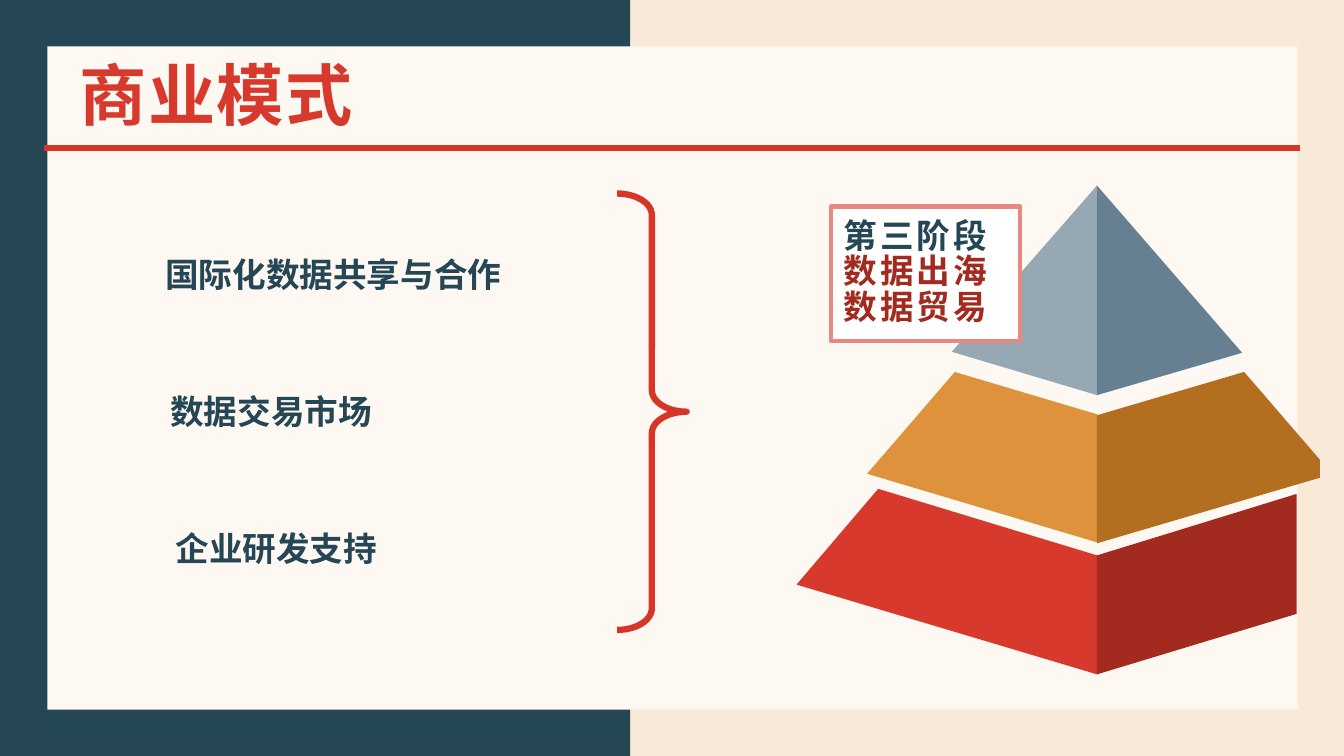
from dataclasses import dataclass

from lxml import etree
from pptx import Presentation
from pptx import util as u
from pptx.dml.color import RGBColor
from pptx.enum import shapes, text
from pptx.oxml import ns

NAVY = RGBColor(0x24, 0x46, 0x55)
SAND = RGBColor(0xF8, 0xE9, 0xD8)
CREAM = RGBColor(0xFE, 0xF8, 0xF2)
WHITE = RGBColor(0xFF, 0xFF, 0xFF)
RULE_RED = RGBColor(0xD6, 0x35, 0x27)
RED = RGBColor(0xD7, 0x3A, 0x2C)
DARK_RED = RGBColor(0xA3, 0x2A, 0x1F)
PINK = RGBColor(0xE7, 0x89, 0x80)
ORANGE = RGBColor(0xDD, 0x92, 0x3B)
BROWN = RGBColor(0xB3, 0x6E, 0x1F)
LIGHT_SLATE = RGBColor(0x95, 0xA8, 0xB4)
SLATE = RGBColor(0x66, 0x80, 0x91)

FONT = "Noto Sans CJK SC"
CELL = u.Inches(0.01)
COLUMNS, ROWS = 1333, 750
AXIS = 298
FACES = [
    (RED, [(81, 301), (0, 396), (AXIS, 485), (AXIS, 367)]),
    (ORANGE, [(157, 185), (70, 286), (AXIS, 354), (AXIS, 227)]),
    (SLATE, [(AXIS, 0), (AXIS, 208), (442, 166)]),
    (LIGHT_SLATE, [(154, 165), (AXIS, 208), (AXIS, 0)]),
    (DARK_RED, [(496, 306), (496, 425), (AXIS, 485), (AXIS, 367)]),
    (BROWN, [(444, 185), (519, 272), (519, 290), (AXIS, 355), (AXIS, 228)]),
]
STREAMS = ["国际化数据共享与合作", "数据交易市场", "企业研发支持"]
STAGE = [("第三阶段", NAVY), ("数据出海", DARK_RED), ("数据贸易", DARK_RED)]


@dataclass
class Box:
    left: int
    top: int
    width: int
    height: int

    def inner(self, column, row, columns, rows):
        return Box(self.left + column, self.top + row, columns, rows)

    def lengths(self):
        return [side * CELL for side in (self.left, self.top, self.width, self.height)]


def paint(shape, fill=None, line=None, weight=0):
    shape.shadow.inherit = False
    if fill is None:
        shape.fill.background()
    else:
        shape.fill.solid()
        shape.fill.fore_color.rgb = fill
    if line is None:
        shape.line.fill.background()
    else:
        shape.line.color.rgb = line
        shape.line.width = u.Pt(weight)


def add_panel(page, box, fill, line=None, weight=0):
    panel = page.shapes.add_shape(shapes.MSO_SHAPE.RECTANGLE, *box.lengths())
    paint(panel, fill, line, weight)
    return panel


def write(shape, lines, size, anchor, line_spacing=0.9, after=0, tracking=0):
    frame = shape.text_frame
    frame.word_wrap = True
    frame.auto_size = text.MSO_AUTO_SIZE.NONE
    frame.vertical_anchor = anchor
    frame.margin_left = frame.margin_right = u.Inches(0.13)
    frame.margin_top = frame.margin_bottom = u.Inches(0.07)
    frame.text = "\n".join(words for words, color in lines)
    for para, (words, color) in zip(frame.paragraphs, lines):
        para.alignment = text.PP_ALIGN.LEFT
        para.line_spacing = line_spacing
        para.space_after = u.Pt(after)
        span = para.runs[0]
        span.font.name = FONT
        span.font.size = u.Pt(size)
        span.font.bold = True
        span.font.color.rgb = color
        properties = span.font._element
        properties.set("spc", str(tracking * 100))
        etree.SubElement(properties, ns.qn("a:ea")).set("typeface", FONT)


def add_backdrop(page, box):
    page.background.fill.solid()
    page.background.fill.fore_color.rgb = SAND
    add_panel(page, box.inner(0, 0, 625, box.height), NAVY)
    add_panel(page, box.inner(47, 46, 1240, 658), CREAM)


def add_header(page, box):
    left, top, width, height = box.lengths()
    rule = page.shapes.add_connector(
        shapes.MSO_CONNECTOR.STRAIGHT, left, top + height, left + width, top + height)
    rule.line.color.rgb = RULE_RED
    rule.line.width = u.Pt(4.5)
    etree.SubElement(rule._element.spPr, ns.qn("a:effectLst"))
    title = page.shapes.add_textbox(*box.inner(22, 0, 529, 96).lengths())
    write(title, [("商业模式", RED)], 48, text.MSO_ANCHOR.MIDDLE, tracking=1)


def add_streams(page, box):
    for index, stream in enumerate(STREAMS):
        place = box.inner(index * 5, index * 136, box.width, 46)
        label = page.shapes.add_textbox(*place.lengths())
        write(label, [(stream, NAVY)], 24, text.MSO_ANCHOR.TOP)


def add_brace(page, box):
    brace = page.shapes.add_shape(shapes.MSO_SHAPE.RIGHT_BRACE, *box.lengths())
    brace.adjustments[0] = 0.31
    brace.adjustments[1] = 0.5
    paint(brace, line=RULE_RED, weight=4.5)


def add_pyramid(page, box):
    for color, corners in FACES:
        points = [((box.left + column) * CELL, (box.top + row) * CELL)
                  for column, row in corners]
        builder = page.shapes.build_freeform(*points[0])
        builder.add_line_segments(points[1:], close=True)
        paint(builder.convert_to_shape(), color)


def add_stage(page, box):
    panel = add_panel(page, box, WHITE, PINK, 3)
    write(panel, STAGE, 24, text.MSO_ANCHOR.MIDDLE, 0.85, after=1, tracking=2)


def main():
    deck = Presentation()
    deck.slide_width = COLUMNS * CELL
    deck.slide_height = ROWS * CELL
    page = deck.slides.add_slide(deck.slide_layouts[6])
    full = Box(0, 0, COLUMNS, ROWS)
    add_backdrop(page, full)
    add_header(page, full.inner(44, 50, 1245, 97))
    add_streams(page, full.inner(151, 249, 385, 317))
    add_brace(page, full.inner(612, 192, 69, 433))
    add_pyramid(page, full.inner(790, 184, 519, 485))
    add_stage(page, full.inner(824, 205, 188, 133))
    deck.save("out.pptx")


if __name__ == "__main__":
    main()
